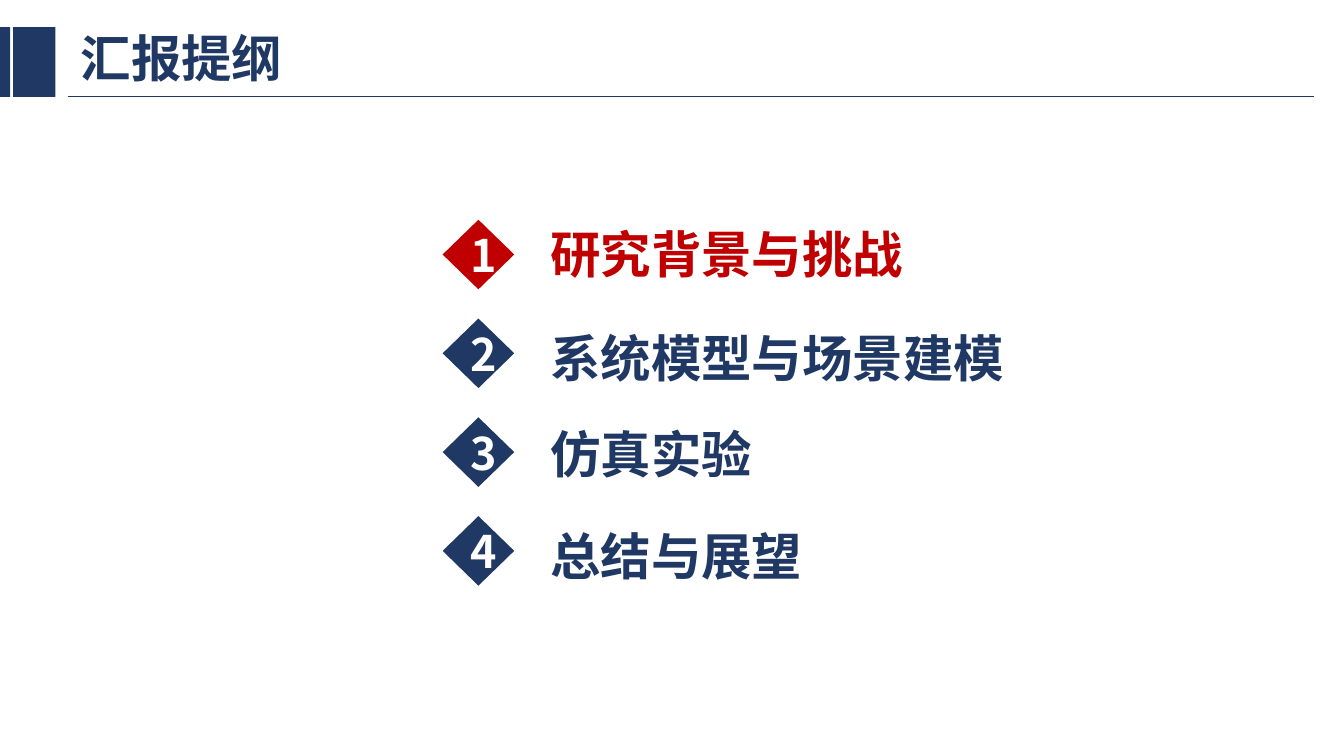
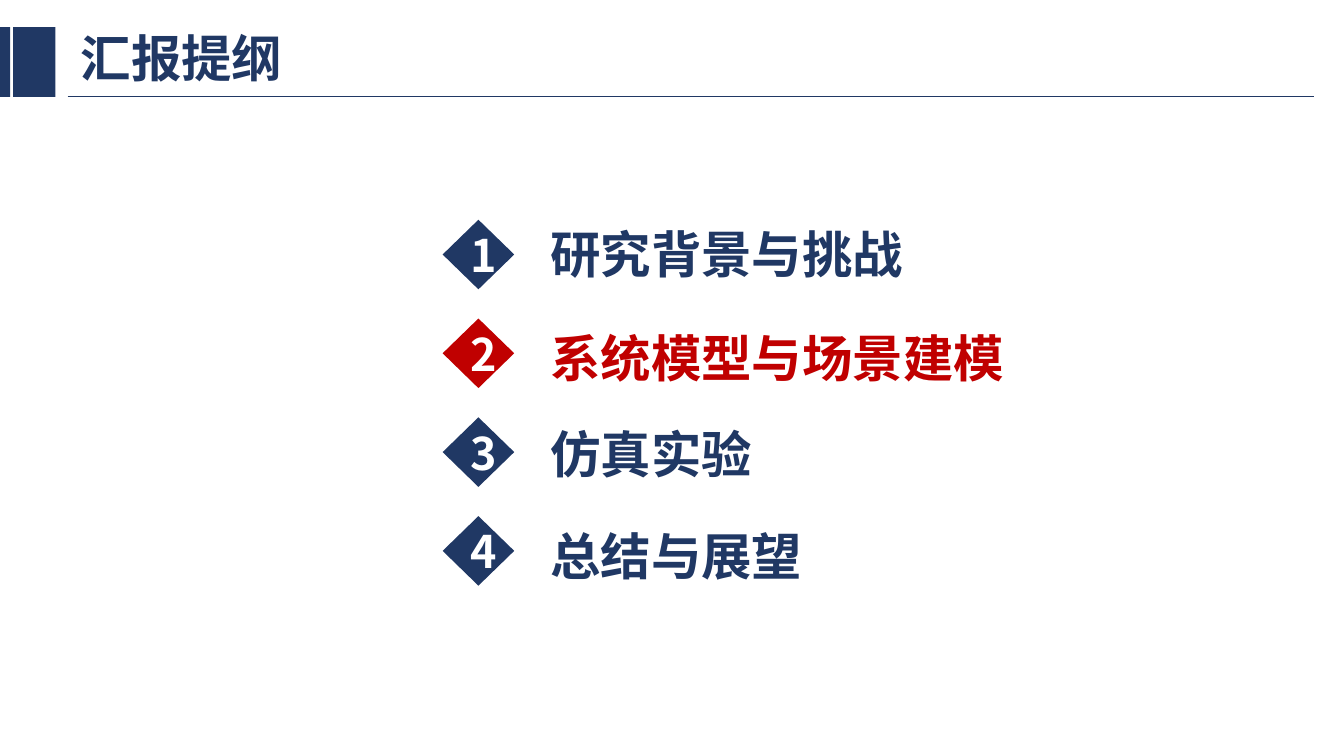
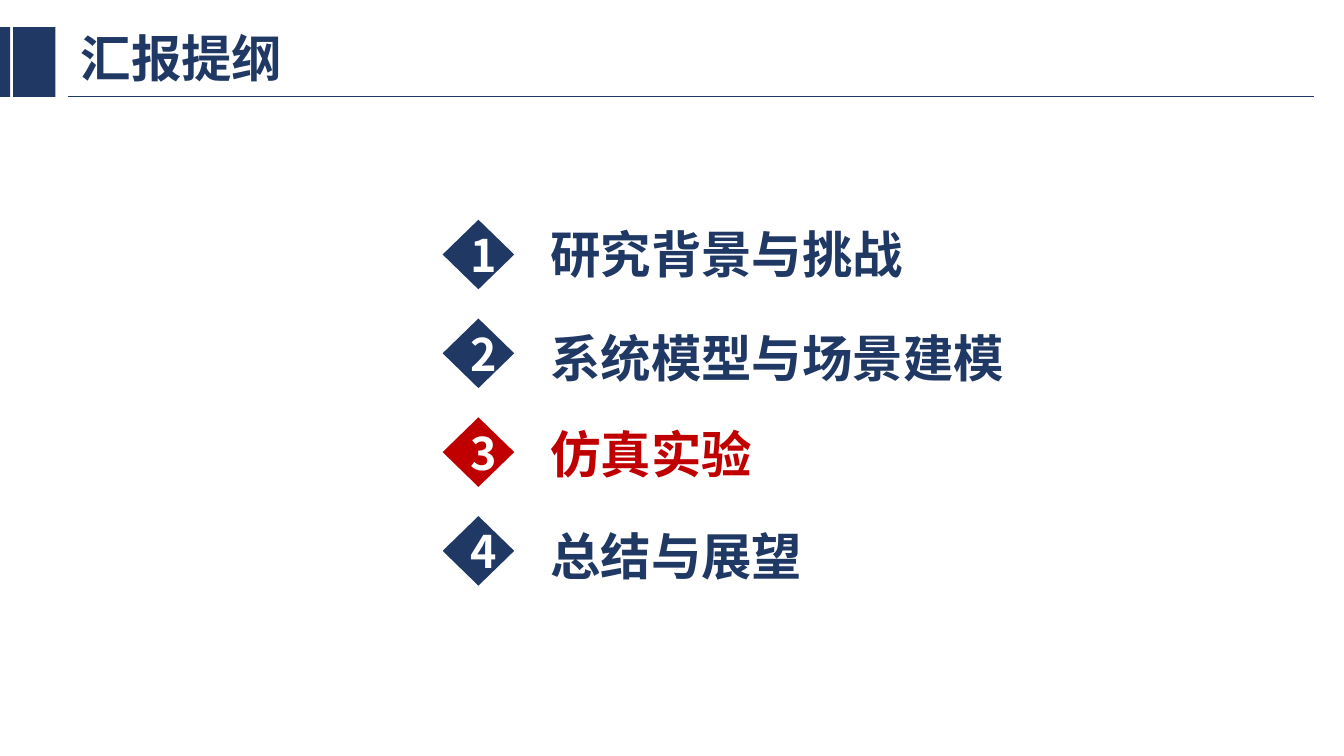
from dataclasses import dataclass

from lxml import etree
from pptx import Presentation
from pptx.dml.color import RGBColor
from pptx.enum.shapes import MSO_CONNECTOR, MSO_SHAPE
from pptx.enum.text import MSO_ANCHOR, MSO_AUTO_SIZE, PP_ALIGN
from pptx.oxml.ns import qn
from pptx.util import Inches, Pt

LEFT, CENTER = PP_ALIGN.LEFT, PP_ALIGN.CENTER
MIDDLE = MSO_ANCHOR.MIDDLE
RECTANGLE, DIAMOND = MSO_SHAPE.RECTANGLE, MSO_SHAPE.DIAMOND
STRAIGHT = MSO_CONNECTOR.STRAIGHT
TITLE_ONLY = 5


@dataclass(frozen=True)
class Theme:
    navy: RGBColor = RGBColor(0x20, 0x38, 0x64)
    red: RGBColor = RGBColor(0xC0, 0x00, 0x00)
    white: RGBColor = RGBColor(0xFF, 0xFF, 0xFF)
    font: str = "Noto Sans CJK SC"
    heading: Pt = Pt(36)
    number: Pt = Pt(32)
    rule: Pt = Pt(1)


THEME = Theme()

TITLE = "汇报提纲"
# Each section has its label and the top of that label in inches
SECTIONS = [
    ("研究背景与挑战", 2.16),
    ("系统模型与场景建模", 3.2),
    ("仿真实验", 4.15),
    ("总结与展望", 5.16),
]
ACTIVE_SECTIONS = (1, 2, 3)
DIAMOND_TOP, DIAMOND_PITCH = 2.18, 0.98


def write_text(shape, text, size, color, alignment=LEFT):
    """Fill the shape with one bold paragraph, in the same Latin and East Asian font."""
    paragraph = shape.text_frame.paragraphs[0]
    paragraph.text = text
    paragraph.alignment = alignment
    font = paragraph.font
    font.size, font.bold, font.name = size, True, THEME.font
    font.color.rgb = color
    defaults = paragraph._p.find(".//" + qn("a:defRPr"))
    etree.SubElement(defaults, qn("a:ea"), typeface=THEME.font)
    return paragraph


def add_filled_shape(slide, kind, left, top, width, height, color):
    shape = slide.shapes.add_shape(
        kind, Inches(left), Inches(top), Inches(width), Inches(height))
    shape.shadow.inherit = False
    shape.fill.solid()
    shape.fill.fore_color.rgb = color
    shape.line.fill.background()
    return shape


presentation = Presentation()
presentation.slide_width = Inches(13.33)
presentation.slide_height = Inches(7.5)
layout = presentation.slide_layouts[TITLE_ONLY]
slides = [presentation.slides.add_slide(layout) for _ in ACTIVE_SECTIONS]

# The header is drawn once, then moved to the layout that all slides share
rule = slides[0].shapes.add_connector(
    STRAIGHT, Inches(0.67), Inches(0.96), Inches(13.03), Inches(0.96))
rule.line.color.rgb = THEME.navy
rule.line.width = THEME.rule
etree.SubElement(rule.element.spPr, qn("a:effectLst"))
bands = [add_filled_shape(slides[0], RECTANGLE, left, 0.27, width, 0.69, THEME.navy)
         for left, width in ((0, 0.1), (0.13, 0.42))]
for header_shape in (rule, *bands):
    layout.shapes.element.append(header_shape.element)

for slide, active in zip(slides, ACTIVE_SECTIONS):
    title = slide.shapes.title
    title.left, title.top = Inches(0.7), Inches(0.21)
    title.width, title.height = Inches(2.69), Inches(0.8)
    title.text_frame.auto_size = MSO_AUTO_SIZE.NONE
    title.text_frame.vertical_anchor = MIDDLE
    write_text(title, TITLE, THEME.heading, THEME.navy).line_spacing = 0.9

    for number, (label, label_top) in enumerate(SECTIONS, start=1):
        color = THEME.red if number == active else THEME.navy
        diamond_top = DIAMOND_TOP + (number - 1) * DIAMOND_PITCH
        diamond = add_filled_shape(slide, DIAMOND, 4.39, diamond_top, 0.71, 0.69, color)
        diamond.text_frame.vertical_anchor = MIDDLE
        write_text(diamond, str(number), THEME.number, THEME.white, CENTER)

        label_box = slide.shapes.add_textbox(
            Inches(5.36), Inches(label_top), Inches(5.3), Inches(0.71))
        label_box.text_frame.word_wrap = True
        write_text(label_box, label, THEME.heading, color)

presentation.save("out.pptx")
